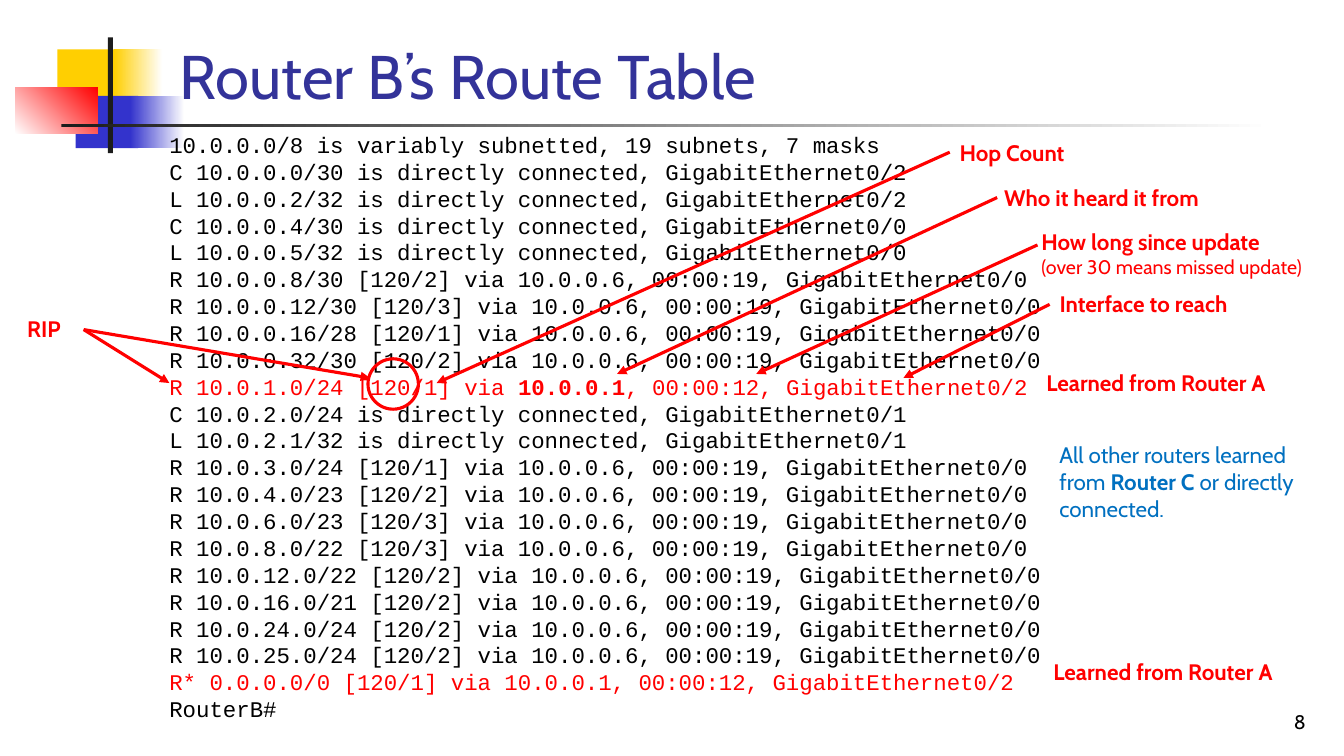
from lxml.etree import SubElement
from pptx import Presentation
from pptx.dml.color import RGBColor
from pptx.enum.shapes import MSO_CONNECTOR, MSO_SHAPE
from pptx.enum.text import MSO_ANCHOR, MSO_AUTO_SIZE, PP_ALIGN
from pptx.oxml.ns import qn
from pptx.util import Inches, Pt

BLACK = RGBColor(0x00, 0x00, 0x00)
WHITE = RGBColor(0xFF, 0xFF, 0xFF)
RED = RGBColor(0xFF, 0x00, 0x00)
YELLOW = RGBColor(0xFF, 0xCF, 0x01)
BLUE = RGBColor(0x33, 0x33, 0xCC)
NAVY = RGBColor(0x33, 0x33, 0x99)
SKY = RGBColor(0x00, 0x70, 0xC0)
CHARCOAL = RGBColor(0x1C, 0x1C, 0x1C)


class RouteSlide:
    """Draw styled elements on one slide, placed on a grid of 133.3 columns by 75 rows."""

    heading_font = "Cabin"
    code_font = "Courier New"
    label_size = 16
    stroke = Pt(2.25)

    def __init__(self, deck):
        self.column = deck.slide_width / 133.3
        self.row = deck.slide_height / 75
        self.slide = deck.slides.add_slide(deck.slide_layouts[1])
        self.shapes = self.slide.shapes

    def point(self, column, row):
        return round(column * self.column), round(row * self.row)

    def area(self, left, top, width, height):
        return *self.point(left, top), *self.point(width, height)

    def typeset(self, frame, paragraphs, font, size, color, anchor=MSO_ANCHOR.TOP,
                align=PP_ALIGN.LEFT, leading=None):
        frame.word_wrap = True
        frame.auto_size = MSO_AUTO_SIZE.NONE
        frame.vertical_anchor = anchor
        for number, pieces in enumerate(paragraphs):
            paragraph = frame.add_paragraph() if number else frame.paragraphs[0]
            paragraph.alignment = align
            paragraph.space_before = Pt(0)
            if leading:
                paragraph.line_spacing = Pt(leading)
            for wording, changes in pieces:
                run = paragraph.add_run()
                run.text = wording.rstrip("\n")
                run.font.name = font
                run.font.size = Pt(changes.get("size", size))
                run.font.bold = changes.get("bold", False)
                run.font.color.rgb = changes.get("color", color)
                if wording.endswith("\n"):
                    paragraph.add_line_break()

    def placeholder(self, index, area):
        holder = self.slide.placeholders[index]
        holder.left, holder.top, holder.width, holder.height = self.area(*area)
        self.shapes._spTree.append(holder._element)
        return holder.text_frame

    def title(self, area, wording):
        self.typeset(self.placeholder(0, area), [[(wording, {})]], self.heading_font, 44,
                     NAVY, MSO_ANCHOR.BOTTOM)

    def listing(self, area, lines):
        frame = self.placeholder(1, area)
        self.typeset(frame, lines, self.code_font, 16, BLACK, leading=19.2)
        for paragraph in frame.paragraphs:
            properties = paragraph._p.get_or_add_pPr()
            properties.set("marL", "0")
            properties.set("indent", "0")
            SubElement(properties, qn("a:buNone"))

    def label(self, area, pieces, color=RED, size=label_size, **layout):
        frame = self.shapes.add_textbox(*self.area(*area)).text_frame
        self.typeset(frame, [pieces], self.heading_font, size, color, **layout)

    def block(self, area, start, end=None, angle=0):
        block = self.shapes.add_shape(MSO_SHAPE.RECTANGLE, *self.area(*area))
        block.shadow.inherit = False
        block.line.fill.background()
        if end is None:
            block.fill.solid()
            block.fill.fore_color.rgb = start
            return
        block.fill.gradient()
        block.fill.gradient_angle = angle
        for stop, position, color in zip(block.fill.gradient_stops, (0, 1), (start, end)):
            stop.position = position
            stop.color.rgb = color

    def ring(self, area):
        ring = self.shapes.add_shape(MSO_SHAPE.OVAL, *self.area(*area))
        ring.shadow.inherit = False
        ring.fill.background()
        ring.line.color.rgb = RED
        ring.line.width = self.stroke

    def arrow(self, start, end):
        arrow = self.shapes.add_connector(
            MSO_CONNECTOR.STRAIGHT, *self.point(*start), *self.point(*end))
        arrow.line.color.rgb = RED
        arrow.line.width = self.stroke
        properties = arrow._element.spPr
        SubElement(properties.find(qn("a:ln")), qn("a:tailEnd"), type="triangle")
        SubElement(properties, qn("a:effectLst"))


def connected(code, network, port):
    return [(f"{code} {network} is directly connected, GigabitEthernet0/{port}", {})]


def learned(network, hops):
    return [(f"R {network} [120/{hops}] via 10.0.0.6, 00:00:19, GigabitEthernet0/0", {})]


ROUTES = [
    [("10.0.0.0/8 is variably subnetted, 19 subnets, 7 masks", {})],
    connected("C", "10.0.0.0/30", 2),
    connected("L", "10.0.0.2/32", 2),
    connected("C", "10.0.0.4/30", 0),
    connected("L", "10.0.0.5/32", 0),
    learned("10.0.0.8/30", 2),
    learned("10.0.0.12/30", 3),
    learned("10.0.0.16/28", 1),
    learned("10.0.0.32/30", 2),
    [("R 10.0.1.0/24 [120/1] via ", {"color": RED}),
     ("10.0.0.1", {"color": RED, "bold": True}),
     (", 00:00:12, GigabitEthernet0/2", {"color": RED})],
    connected("C", "10.0.2.0/24", 1),
    connected("L", "10.0.2.1/32", 1),
    learned("10.0.3.0/24", 1),
    learned("10.0.4.0/23", 2),
    learned("10.0.6.0/23", 3),
    learned("10.0.8.0/22", 3),
    learned("10.0.12.0/22", 2),
    learned("10.0.16.0/21", 2),
    learned("10.0.24.0/24", 2),
    learned("10.0.25.0/24", 2),
    [("R* 0.0.0.0/0 [120/1] via 10.0.0.1, 00:00:12, GigabitEthernet0/2\n", {"color": RED}),
     ("RouterB#", {})],
]

BLOCKS = [
    ((5.7, 4.9, 6.4, 5.2), YELLOW),
    ((11.3, 4.9, 4.8, 5.2), YELLOW, WHITE),
    ((7.5, 9.5, 6.2, 5.2), BLUE),
    ((12.9, 9.5, 5.4, 5.2), BLUE, WHITE),
    ((1.5, 8.7, 8.2, 4.6), WHITE, RED, 45),
    ((10.7, 3.7, 0.5, 11.5), CHARCOAL),
    ((6.1, 12.3, 120, 0.3), CHARCOAL, WHITE),
]

BOLD = {"bold": True}
LABELS = [
    ((102.8, 36.1, 28, 3.7), [("Learned from Router A", BOLD)]),
    ((1.7, 30.8, 6.7, 3.7), [("RIP", BOLD)]),
    ((94.2, 13.3, 15.8, 3.7), [("Hop Count", BOLD)]),
    ((98.6, 17.8, 27.2, 3.7), [("Who it heard it from", BOLD)]),
    ((102.3, 22.1, 30.8, 6.1), [("How long since update\n", BOLD),
                                ("(over 30 means missed update)", {"size": 14})]),
    ((103.5, 64.8, 28, 3.7), [("Learned from Router A", BOLD)]),
    ((104.1, 28.3, 29.1, 3.7), [("Interface to reach", BOLD)]),
    ((104.1, 43.3, 26.7, 9.1), [("All other routers learned from ", {}), ("Router C", BOLD),
                                (" or directly connected.", {})], SKY),
]

ARROWS = [
    ((8.3, 32.7), (16.8, 38)),
    ((8.3, 32.7), (36.7, 37.5)),
    ((94.2, 15.1), (43.3, 38)),
    ((98.9, 19.6), (61.2, 37.1)),
    ((102.9, 24.3), (75, 37.1)),
    ((104.1, 30.2), (89.6, 37.5)),
]


def main():
    deck = Presentation()
    deck.slide_width, deck.slide_height = Inches(13.33), Inches(7.5)
    page = RouteSlide(deck)
    for block in BLOCKS:
        page.block(*block)
    page.title((16.8, 2.3, 113.6, 9.3), "Router B’s Route Table")
    page.label((102.7, 70, 27.8, 3.3), [("8", {})], BLACK, 14,
               anchor=MSO_ANCHOR.BOTTOM, align=PP_ALIGN.RIGHT)
    page.listing((15.8, 12.5, 111.7, 60.2), ROUTES)
    for label in LABELS:
        page.label(*label)
    page.ring((36.5, 35.6, 5, 5))
    for arrow in ARROWS:
        page.arrow(*arrow)
    deck.save("out.pptx")


if __name__ == "__main__":
    main()
